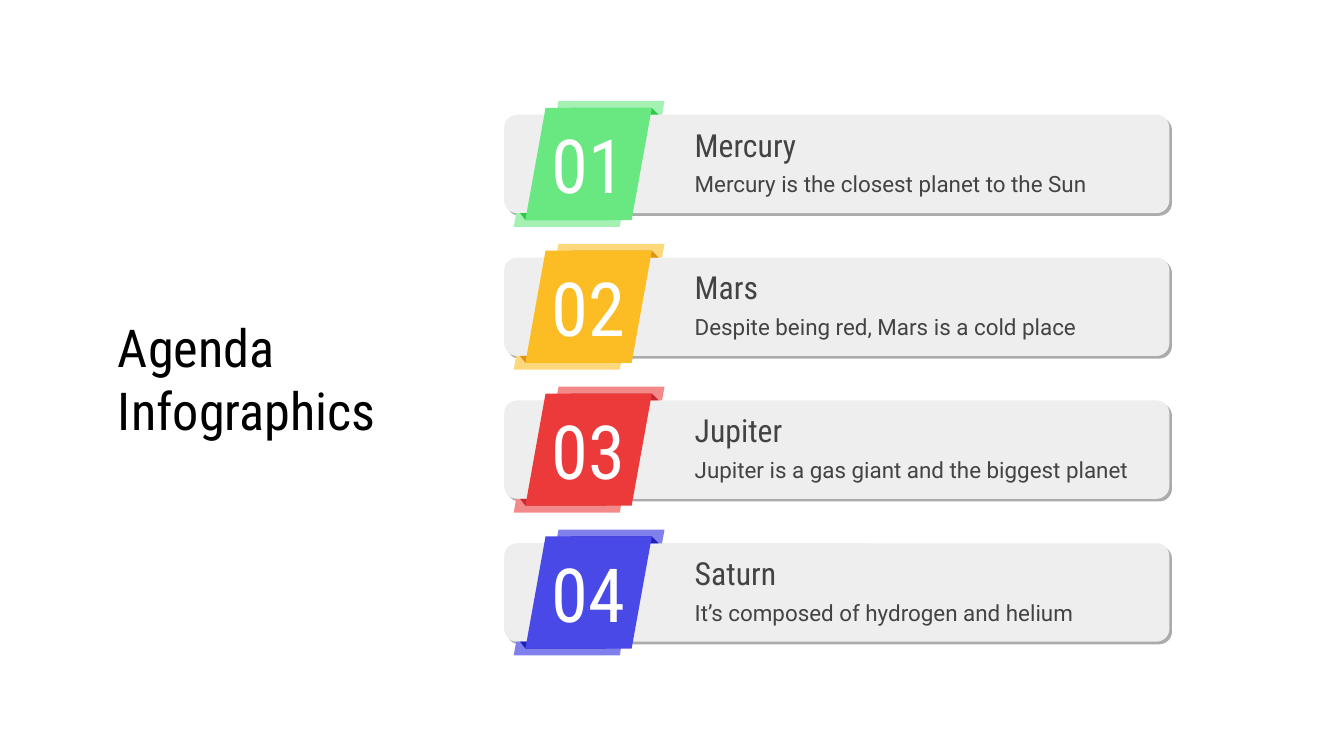
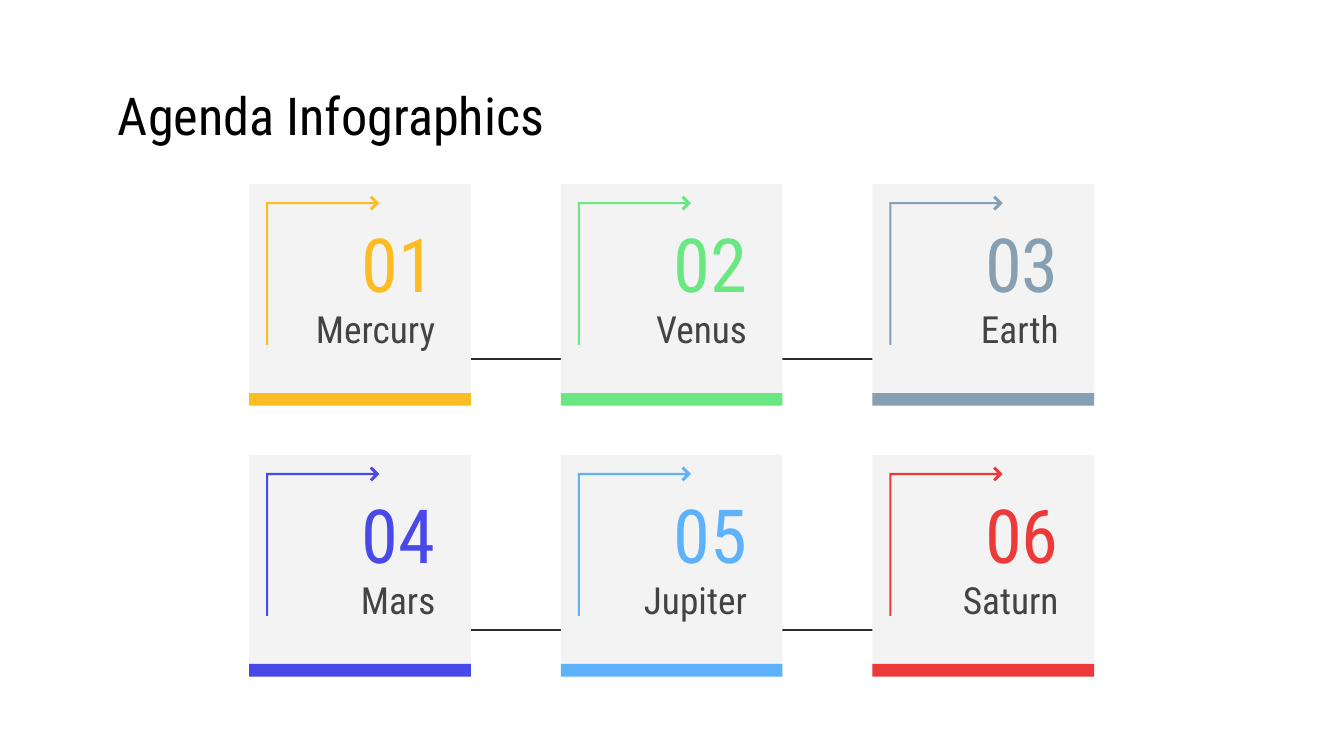
from dataclasses import dataclass

from lxml import etree
from pptx import Presentation
from pptx import util as u
from pptx.dml import color as dml
from pptx.enum import shapes, text
from pptx.oxml import ns


@dataclass(frozen=True)
class Theme:
    heading_font: str = "Roboto Condensed"
    body_font: str = "Roboto"
    title_size: float = 28
    number_size: float = 40
    card_name_size: float = 20
    row_name_size: float = 17
    body_size: float = 12
    black: str = "000000"
    white: str = "FFFFFF"
    ink: str = "434343"
    rule: str = "2C2C2C"
    row: str = "EEEEEE"
    card: str = "F3F3F3"
    green: str = "69E781"
    light_green: str = "A5F1B3"
    dark_green: str = "2FC948"
    yellow: str = "FCBD24"
    light_yellow: str = "FDD77C"
    dark_yellow: str = "E09214"
    red: str = "EC3A3B"
    light_red: str = "F48989"
    dark_red: str = "C6282F"
    indigo: str = "4949E7"
    light_indigo: str = "8080ED"
    dark_indigo: str = "2020BA"
    slate: str = "869FB2"
    sky: str = "5EB2FC"


THEME = Theme()
LEFT, CENTER, RIGHT = text.PP_ALIGN.LEFT, text.PP_ALIGN.CENTER, text.PP_ALIGN.RIGHT
RECTANGLE = shapes.MSO_SHAPE.RECTANGLE
ROUNDED = shapes.MSO_SHAPE.ROUNDED_RECTANGLE
PARALLELOGRAM = shapes.MSO_SHAPE.PARALLELOGRAM


class Painter:
    """Holds the deck, the theme and the slide being drawn. Lengths are in cm."""

    def __init__(self, theme):
        self.theme = theme
        self.deck = Presentation()
        self.deck.slide_width, self.deck.slide_height = u.Cm(25.4), u.Cm(14.29)

    def new_page(self, title, left, top, width, height):
        self.page = self.deck.slides.add_slide(self.deck.slide_layouts[5])
        box = self.page.shapes.title
        box.left, box.top, box.width, box.height = map(u.Cm, (left, top, width, height))
        self.set_text(box, title, self.theme.title_size, self.theme.black)

    def new_group(self):
        self.target = self.page.shapes.add_group_shape().shapes

    def set_text(self, box, words, size, color, align=LEFT, font=None, wrap=True):
        frame = box.text_frame
        frame.word_wrap = wrap
        frame.auto_size = text.MSO_AUTO_SIZE.NONE
        frame.vertical_anchor = text.MSO_ANCHOR.MIDDLE
        frame.margin_left = frame.margin_right = u.Cm(0.25)
        frame.margin_top = frame.margin_bottom = u.Cm(0.25)
        para = frame.paragraphs[0]
        para.text = words
        para.alignment = align
        para.font.name = font or self.theme.heading_font
        para.font.size = u.Pt(size)
        para.font.color.rgb = dml.RGBColor.from_string(color)

    def label(self, words, left, top, width, height, size, color, **style):
        box = self.target.add_textbox(*map(u.Cm, (left, top, width, height)))
        self.set_text(box, words, size, color, **style)

    def paint(self, shape, color, alpha=None):
        shape.shadow.inherit = False
        shape.line.fill.background()
        shape.fill.solid()
        shape.fill.fore_color.rgb = dml.RGBColor.from_string(color)
        if alpha is not None:
            tint = shape._element.spPr.find(".//" + ns.qn("a:srgbClr"))
            etree.SubElement(tint, ns.qn("a:alpha")).set("val", str(alpha * 1000))
        return shape

    def block(self, kind, left, top, width, height, color, adjust=None, alpha=None):
        shape = self.target.add_shape(kind, *map(u.Cm, (left, top, width, height)))
        if adjust is not None:
            shape.adjustments[0] = adjust
        return self.paint(shape, color, alpha)

    def outline(self, points, left, top, color):
        corners = [(u.Cm(left + x), u.Cm(top + y)) for x, y in points]
        builder = self.target.build_freeform(*corners[0], scale=1.0)
        builder.add_line_segments(corners[1:], close=True)
        self.paint(builder.convert_to_shape(), color)

    def rule(self, start, end, y):
        line = self.page.shapes.add_connector(
            shapes.MSO_CONNECTOR.STRAIGHT, u.Cm(start), u.Cm(y), u.Cm(end), u.Cm(y))
        line.line.width = u.Pt(1.1)
        line.line.color.rgb = dml.RGBColor.from_string(self.theme.rule)
        etree.SubElement(line._element.spPr, ns.qn("a:effectLst"))


# Agenda rows: name, description, ribbon colour, tab colour, fold colour
ROWS = [
    ("Mercury", "Mercury is the closest planet to the Sun",
     THEME.green, THEME.light_green, THEME.dark_green),
    ("Mars", "Despite being red, Mars is a cold place",
     THEME.yellow, THEME.light_yellow, THEME.dark_yellow),
    ("Jupiter", "Jupiter is a gas giant and the biggest planet",
     THEME.red, THEME.light_red, THEME.dark_red),
    ("Saturn", "It’s composed of hydrogen and helium",
     THEME.indigo, THEME.light_indigo, THEME.dark_indigo),
]
ROW_LEFT, ROW_TOP, ROW_PITCH = 9.53, 2.17, 2.7
ROW_WIDTH, ROW_HEIGHT, ROW_CORNER = 12.57, 1.86, 0.13
SLANT, FOLD, TAB_WIDTH = 0.18, 0.13, 2.05
LOWER_FOLD = [(0.3, 0), (0.4, FOLD), (1.93, FOLD), (1.93, 0)]
UPPER_FOLD = [(1.27, -FOLD), (1.21, 0), (2.92, 0), (2.79, -FOLD)]

# Agenda cards: name and accent colour
CARDS = [
    ("Mercury", THEME.yellow), ("Venus", THEME.green), ("Earth", THEME.slate),
    ("Mars", THEME.indigo), ("Jupiter", THEME.sky), ("Saturn", THEME.red),
]
CARD_LEFT, CARD_TOP, CARD_SIZE, COLUMNS = 4.71, 3.48, 4.19, 3
COLUMN_PITCH, LINE_PITCH, BAND = 5.89, 5.12, 0.24
ARROW = [(2.32, 0.22), (2.28, 0.26), (2.36, 0.34), (0.32, 0.34), (0.32, 3.04),
         (0.36, 3.04), (0.36, 0.38), (2.36, 0.38), (2.28, 0.46), (2.32, 0.5),
         (2.46, 0.36)]


def draw_row(painter, index, name, description, color, light, dark):
    theme = painter.theme
    top = ROW_TOP + index * ROW_PITCH
    bottom = top + ROW_HEIGHT
    painter.new_group()
    # Bar and its soft shadow
    painter.block(ROUNDED, ROW_LEFT + 0.05, top + 0.05, ROW_WIDTH, ROW_HEIGHT,
                  theme.black, ROW_CORNER, alpha=33)
    painter.block(ROUNDED, ROW_LEFT, top, ROW_WIDTH, ROW_HEIGHT, theme.row, ROW_CORNER)
    # Folded ribbon with the number
    for left, tab_top in ((10.51, top - 2 * FOLD), (9.71, bottom)):
        painter.block(PARALLELOGRAM, left, tab_top, TAB_WIDTH, 2 * FOLD, light, SLANT)
    painter.outline(LOWER_FOLD, ROW_LEFT, bottom, dark)
    painter.outline(UPPER_FOLD, ROW_LEFT, top, dark)
    ribbon = painter.block(PARALLELOGRAM, 9.93, top - FOLD, 2.39,
                           ROW_HEIGHT + 2 * FOLD, color, SLANT)
    painter.set_text(ribbon, f"{index + 1:02}", theme.number_size, theme.white,
                     align=CENTER, wrap=False)
    # Texts
    painter.label(description, 12.88, top + 0.8, 8.92, 1.02, theme.body_size,
                  theme.ink, font=theme.body_font)
    painter.label(name, 12.88, top + 0.05, 8.92, 1.02, theme.row_name_size, theme.ink)


def draw_card(painter, index, name, color):
    theme = painter.theme
    line, column = divmod(index, COLUMNS)
    left = CARD_LEFT + column * COLUMN_PITCH
    top = CARD_TOP + line * LINE_PITCH
    painter.new_group()
    painter.block(RECTANGLE, left, top, CARD_SIZE, CARD_SIZE, theme.card)
    painter.outline(ARROW, left, top, color)
    painter.block(RECTANGLE, left, top + CARD_SIZE - BAND, CARD_SIZE, BAND, color)
    painter.label(name, left + 0.44, top + 2.13, 3.33, 1.2, theme.card_name_size,
                  theme.ink, align=RIGHT)
    painter.label(f"{index + 1:02}", left + 0.44, top + 0.89, 3.33, 1.2,
                  theme.number_size, color, align=RIGHT)


def main():
    painter = Painter(THEME)

    # Slide 1: rows with ribbons
    painter.new_page("Agenda Infographics", 1.98, 5.97, 5.51, 2.34)
    for index, row in enumerate(ROWS):
        draw_row(painter, index, *row)

    # Slide 2: grid of cards over connecting lines
    painter.new_page("Agenda Infographics", 1.98, 1.5, 21.46, 1.35)
    for line in range(len(CARDS) // COLUMNS):
        painter.rule(6.81, 16.94, CARD_TOP + 3.31 + line * LINE_PITCH)
    for index, card in enumerate(CARDS):
        draw_card(painter, index, *card)

    painter.deck.save("out.pptx")


if __name__ == "__main__":
    main()
